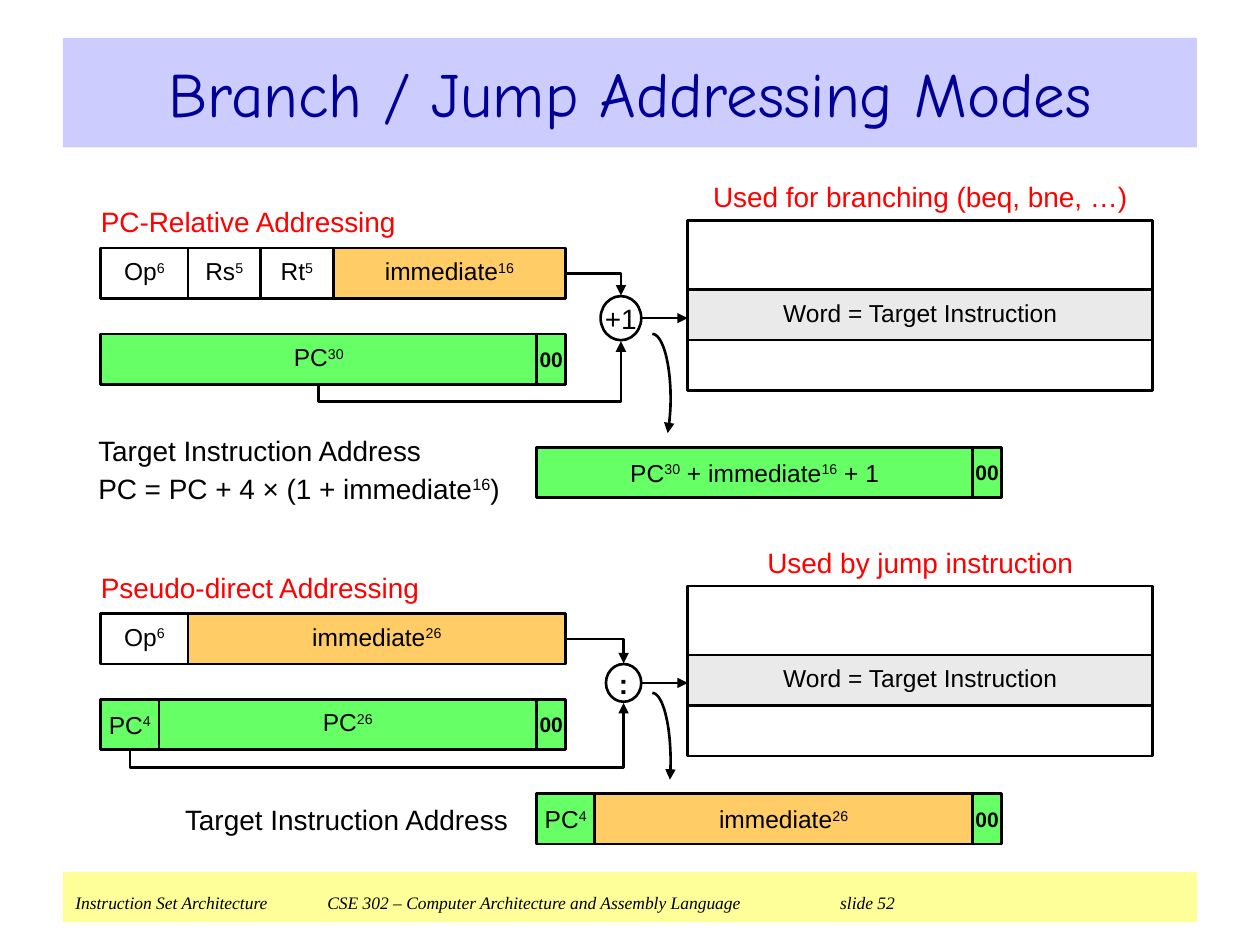
from dataclasses import dataclass
from math import cos, radians, sin

from lxml.etree import SubElement
from pptx import Presentation
from pptx.dml.color import RGBColor
from pptx.enum.shapes import MSO_CONNECTOR as Connector, MSO_SHAPE as Shape
from pptx.enum.text import MSO_ANCHOR as Anchor, PP_ALIGN as Align
from pptx.oxml.ns import qn
from pptx.util import Inches, Pt


@dataclass(frozen=True)
class Theme:
    """Colours, fonts and sizes of the slide."""
    ink: str = "000000"
    heading: str = "FF0000"
    title: str = "000099"
    title_band: str = "CCCCFF"
    footer_band: str = "FFFF99"
    plain: str = "FFFFFF"
    immediate: str = "FFCC66"
    counter: str = "66FF66"
    word: str = "EAEAEA"
    body_font: str = "Arial"
    title_font: str = "Comic Neue"
    footer_font: str = "Times New Roman"
    title_size: float = 36
    label_size: float = 16
    field_size: float = 14
    zero_size: float = 12
    footer_size: float = 10
    line: float = 1.5


THEME = Theme()
WORD_BITS = 32
COLUMN = 3.69 / WORD_BITS
ROW = 0.05
FIELD_ROWS = 8
MEMORY_COLUMN = 40.4


@dataclass(frozen=True)
class Grid:
    """A region whose columns are one bit wide."""
    left: float
    top: float

    def point(self, column, row):
        """Return the position of a grid crossing."""
        return Inches(self.left + column * COLUMN), Inches(self.top + row * ROW)

    def box(self, column, row, columns, rows):
        """Return left, top, width and height of a block of cells."""
        return *self.point(column, row), Inches(columns * COLUMN), Inches(rows * ROW)


@dataclass(frozen=True)
class Field:
    """A run of bits in an instruction word or address."""
    label: str
    bits: int
    fill: str
    spacing: float = 0.85
    size: float = THEME.field_size
    bold: bool = False


def counter_part(bits):
    """Return the upper bits of the program counter."""
    return Field(f"PC^{bits}^", bits, THEME.counter, spacing=1)


ZEROS = Field("00", 2, THEME.counter, 1, THEME.zero_size, True)


def write(shape, text, *, size=THEME.label_size, font=THEME.body_font, color=THEME.ink,
          bold=False, italic=False, align=Align.CENTER, anchor=Anchor.MIDDLE,
          spacing=1, before=2, insets=(0, 0, 0, 0), wrap=True):
    """Write text, one paragraph a line, raising the parts between carets."""
    frame = shape.text_frame
    frame.word_wrap, frame.vertical_anchor = wrap, anchor
    frame.margin_left, frame.margin_top, frame.margin_right, frame.margin_bottom = map(Inches, insets)
    for index, line in enumerate(text.split("\n")):
        paragraph = frame.add_paragraph() if index else frame.paragraphs[0]
        paragraph.alignment, paragraph.line_spacing = align, spacing
        paragraph.space_before = Pt(before if index else 0)
        for position, part in enumerate(line.split("^")):
            if not part:
                continue
            run = paragraph.add_run()
            run.text = part
            run.font.size, run.font.name = Pt(size), font
            run.font.bold, run.font.italic = bold, italic
            run.font.color.rgb = RGBColor.from_string(color)
            if position % 2:
                run._r.get_or_add_rPr().set("baseline", "30000")


def add_label(slide, box, text, **style):
    """Add a text box."""
    write(slide.shapes.add_textbox(*box), text, **style)


def set_line(shape, arrow=False):
    """Give a shape or connector the common line."""
    shape.line.color.rgb = RGBColor.from_string(THEME.ink)
    shape.line.width = Pt(THEME.line)
    if arrow:
        SubElement(shape._element.spPr.find(qn("a:ln")), qn("a:tailEnd"), type="triangle")


def add_block(slide, box, fill=None, kind=Shape.RECTANGLE, outlined=True):
    """Add a preset shape with a plain fill."""
    shape = slide.shapes.add_shape(kind, *box)
    shape.shadow.inherit = False
    if fill:
        shape.fill.solid()
        shape.fill.fore_color.rgb = RGBColor.from_string(fill)
    else:
        shape.fill.background()
    if outlined:
        set_line(shape)
    else:
        shape.line.fill.background()
    return shape


def add_arrow(slide, start, end, kind=Connector.STRAIGHT):
    """Add a connector with an arrowhead at its end."""
    connector = slide.shapes.add_connector(kind, *start, *end)
    set_line(connector, arrow=True)
    SubElement(connector._element.spPr, qn("a:effectLst"))
    return connector


def add_corner(slide, start, end):
    """Add an arrow that runs right and then down."""
    connector = add_arrow(slide, start, end, Connector.ELBOW)
    connector._element.spPr.find(qn("a:prstGeom")).set("prst", "bentConnector2")


def add_loop(slide, start, end, bottom):
    """Add an arrow that dips to bottom, runs right and rises to its end."""
    connector = add_arrow(slide, start, end, Connector.ELBOW)
    across, rise = end[0] - start[0], start[1] - end[1]
    connector.left = (start[0] + end[0] - rise) // 2
    connector.top = (start[1] + end[1] - across) // 2
    connector.width, connector.height = rise, across
    geometry = connector._element.spPr
    transform = geometry.find(qn("a:xfrm"))
    for name, value in (("rot", "5400000"), ("flipH", "1"), ("flipV", "1")):
        transform.set(name, value)
    guides = geometry.find(qn("a:prstGeom")).get_or_add_avLst()
    share = round((start[1] - bottom) / rise * 100000)
    SubElement(guides, qn("a:gd"), name="adj1", fmla=f"val {share}")


def add_arc(slide, grid, center_row, radius, end_angle):
    """Add a curved arrow from the combiner down to the target address."""
    steps = 24
    angles = [radians(-90 + (90 + end_angle) * step / steps) for step in range(steps + 1)]
    points = [grid.point(37.96 + 1.26 * cos(angle), center_row + radius * sin(angle))
              for angle in angles]
    builder = slide.shapes.build_freeform(*points[0])
    builder.add_line_segments(points[1:], close=False)
    arc = builder.convert_to_shape()
    arc.shadow.inherit = False
    arc.fill.background()
    set_line(arc, arrow=True)


def add_fields(slide, grid, column, row, fields):
    """Add neighbouring fields, each as wide as its bits."""
    for field in fields:
        block = add_block(slide, grid.box(column, row, field.bits, FIELD_ROWS), field.fill)
        write(block, field.label, size=field.size, bold=field.bold, spacing=field.spacing)
        column += field.bits


def add_memory(slide, grid, heading):
    """Add the memory with its target word."""
    add_label(slide, grid.box(MEMORY_COLUMN, 0, WORD_BITS, 6.4), heading, color=THEME.heading)
    word = add_block(slide, grid.box(MEMORY_COLUMN, 18, WORD_BITS, FIELD_ROWS), THEME.word)
    write(word, "Word = Target Instruction", size=THEME.field_size, spacing=0.85)
    add_block(slide, grid.box(MEMORY_COLUMN, 7, WORD_BITS, 27))


def add_combiner(slide, grid, sign, bold, circle, loop_column):
    """Add the combining circle and the arrows around it."""
    column, row, columns, rows = circle
    middle = column + columns / 2
    add_loop(slide, grid.point(loop_column, 33), grid.point(middle, row + rows + 0.2),
             grid.point(0, 35.8)[1])
    add_corner(slide, grid.point(WORD_BITS, 15.4), grid.point(middle, row - 0.1))
    add_arrow(slide, grid.point(column + columns, row + rows / 2),
              grid.point(MEMORY_COLUMN, row + rows / 2))
    shape = add_block(slide, grid.box(*circle), THEME.plain, Shape.OVAL)
    write(shape, sign, bold=bold, wrap=False)


def add_mode(slide, grid, heading, use, instruction, counter, combiner, arc, target_row, target):
    """Add one addressing mode."""
    add_memory(slide, grid, use)
    add_label(slide, grid.box(0, 4, WORD_BITS, 6.4), heading, color=THEME.heading, align=Align.LEFT)
    add_fields(slide, grid, 0, 11.4, instruction)
    add_fields(slide, grid, 0, 25, counter)
    add_combiner(slide, grid, *combiner)
    add_arc(slide, grid, *arc)
    add_fields(slide, grid, 30, target_row, target)


def add_title(slide, box):
    """Add the title band."""
    write(add_block(slide, box, THEME.title_band, outlined=False), "Branch / Jump Addressing Modes",
          size=THEME.title_size, font=THEME.title_font, color=THEME.title)


def add_footer(slide, box):
    """Add the footer band with its tabbed line."""
    band = add_block(slide, box, THEME.footer_band, outlined=False)
    properties = band.text_frame.paragraphs[0]._p.get_or_add_pPr()
    write(band, "Instruction Set Architecture\tCSE 302 – Computer Architecture and Assembly Language\tslide 52",
          size=THEME.footer_size, font=THEME.footer_font, italic=True, align=Align.LEFT,
          anchor=Anchor.BOTTOM, insets=(0.1, 0.05, 0.1, 0.07))
    tabs = SubElement(properties, qn("a:tabLst"))
    for position in (2, 6.07):
        SubElement(tabs, qn("a:tab"), pos=str(Inches(position)), algn="l")


def main():
    """Build the slide and save it."""
    presentation = Presentation()
    presentation.slide_width, presentation.slide_height = Inches(10), Inches(7.5)
    slide = presentation.slides.add_slide(presentation.slide_layouts[6])
    add_footer(slide, tuple(map(Inches, (0.5, 6.92, 9, 0.4))))
    add_title(slide, tuple(map(Inches, (0.5, 0.3, 9, 0.87))))
    opcode = Field("Op^6^", 6, THEME.plain)
    branch, jump = Grid(0.8, 1.4), Grid(0.8, 4.3)
    add_mode(slide, branch, "PC-Relative Addressing", "Used for branching (beq, bne, …)",
             [opcode, Field("Rs^5^", 5, THEME.plain), Field("Rt^5^", 5, THEME.plain),
              Field("immediate^16^", 16, THEME.immediate)],
             [Field("PC^30^", 30, THEME.counter), ZEROS],
             ("+1", False, (34.4, 19, 2.8, 7), 15), (35.2, 10.2, 33), 43,
             [Field("PC^30^ + immediate^16^ + 1", 30, THEME.counter, spacing=1), ZEROS])
    add_mode(slide, jump, "Pseudo-direct Addressing", "Used by jump instruction",
             [opcode, Field("immediate^26^", 26, THEME.immediate)],
             [counter_part(4), Field("PC^26^", 26, THEME.counter), ZEROS],
             (":", True, (34.77, 19.4, 2.43, 6), 2), (34.8, 10.8, 16), 40,
             [counter_part(4), Field("immediate^26^", 26, THEME.immediate, spacing=1), ZEROS])
    add_label(slide, branch.box(-0.17, 41, 29.8, 11),
              "Target Instruction Address\nPC = PC + 4 × (1 + immediate^16^)", align=Align.LEFT)
    add_label(slide, jump.box(5.8, 40, 23.75, FIELD_ROWS), "Target Instruction Address", align=Align.LEFT)
    presentation.save("out.pptx")


if __name__ == "__main__":
    main()
